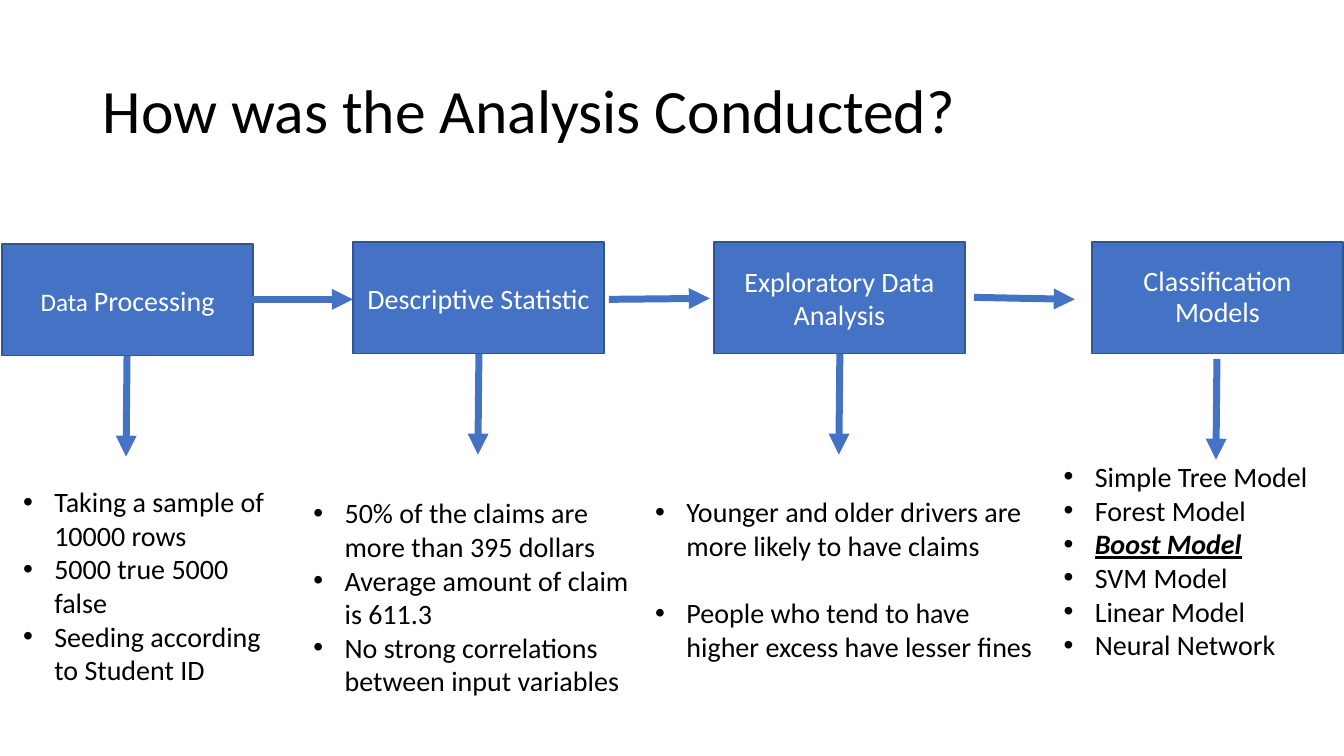
from lxml import etree
from pptx import Presentation
from pptx.dml.color import RGBColor
from pptx.enum.shapes import MSO_CONNECTOR, MSO_SHAPE
from pptx.enum.text import MSO_ANCHOR, PP_ALIGN
from pptx.oxml.ns import qn
from pptx.util import Inches, Pt

BLUE = RGBColor(0x44, 0x72, 0xC4)
DARK_BLUE = RGBColor(0x32, 0x54, 0x91)
BLACK = RGBColor(0, 0, 0)
WHITE = RGBColor(0xFF, 0xFF, 0xFF)


def add_run(paragraph, text, size, color):
    run = paragraph.add_run()
    run.text = text
    run.font.name = "Calibri"
    run.font.size = Pt(size)
    run.font.color.rgb = color
    return run


def add_arrow(slide, start, end):
    points = [Inches(value) for value in (*start, *end)]
    arrow = slide.shapes.add_connector(MSO_CONNECTOR.STRAIGHT, *points)
    arrow.line.color.rgb = BLUE
    arrow.line.width = Pt(5)
    etree.SubElement(arrow.line._get_or_add_ln(), qn("a:tailEnd"), type="triangle")
    etree.SubElement(arrow._element.spPr, qn("a:effectLst"))


presentation = Presentation()
presentation.slide_width = Inches(13.33)
presentation.slide_height = Inches(7.5)
slide = presentation.slides.add_slide(presentation.slide_layouts[6])

title = slide.shapes.add_textbox(Inches(0.92), Inches(0.4), Inches(11.5), Inches(1.45))
title.text_frame.word_wrap = True
title.text_frame.vertical_anchor = MSO_ANCHOR.MIDDLE
title_paragraph = title.text_frame.paragraphs[0]
title_paragraph.line_spacing = 0.9
add_run(title_paragraph, "How was the Analysis Conducted?", 44, BLACK)

steps = [
    (0.02, 2.42, [("Data ", 18), ("Processing", 20)]),
    (3.5, 2.4, [("Descriptive Statistic", 20)]),
    (7.08, 2.4, [("Exploratory Data Analysis", 20)]),
    (10.83, 2.4, [("Classification Models", 20)]),
]
for left, top, runs in steps:
    box = slide.shapes.add_shape(
        MSO_SHAPE.RECTANGLE, Inches(left), Inches(top), Inches(2.49), Inches(1.11)
    )
    box.shadow.inherit = False
    box.fill.solid()
    box.fill.fore_color.rgb = BLUE
    box.line.color.rgb = DARK_BLUE
    box.line.width = Pt(1)
    box.text_frame.word_wrap = True
    box.text_frame.vertical_anchor = MSO_ANCHOR.MIDDLE
    paragraph = box.text_frame.paragraphs[0]
    paragraph.alignment = PP_ALIGN.CENTER
    for text, size in runs:
        add_run(paragraph, text, size, WHITE)
paragraph.line_spacing = 0.9
paragraph.space_before = Pt(10)

for left, start_top, end_top in [(2.5, 2.97, 2.97), (6.04, 2.97, 2.96), (9.66, 2.95, 2.97)]:
    add_arrow(slide, (left, start_top), (left + 1, end_top))
for left, top in [(1.26, 3.53), (4.75, 3.51), (8.33, 3.51), (12.07, 3.56)]:
    add_arrow(slide, (left, top), (left - 0.01, top + 1))

details = [
    (0.13, 4.76, 2.65, 2.42, 0, [
        "Taking a sample of 10000 rows",
        "5000 true 5000 false",
        "Seeding according to Student ID",
    ]),
    (3.01, 4.87, 3.37, 2.12, 0, [
        "50% of the claims are more than 395 dollars",
        "Average amount of claim is 611.3",
        "No strong correlations between input variables",
    ]),
    (6.4, 4.86, 4.01, 2.09, 24, [
        "Younger and older drivers are more likely to have claims",
        "People who tend to have higher excess have lesser fines",
    ]),
    (10.45, 4.51, 2.65, 2.42, 0, [
        "Simple Tree Model",
        "Forest Model",
        "Boost Model",
        "SVM Model",
        "Linear Model",
        "Neural Network",
    ]),
]
for left, top, width, height, gap, items in details:
    detail = slide.shapes.add_textbox(Inches(left), Inches(top), Inches(width), Inches(height))
    frame = detail.text_frame
    frame.word_wrap = True
    for index, item in enumerate(items):
        paragraph = frame.add_paragraph() if index else frame.paragraphs[0]
        paragraph.space_before = Pt(gap if index else 0)
        properties = paragraph._p.get_or_add_pPr()
        properties.set("marL", str(Inches(0.31)))
        properties.set("indent", str(Inches(-0.31)))
        etree.SubElement(properties, qn("a:buFont"), typeface="Arial")
        etree.SubElement(properties, qn("a:buChar"), char="•")
        run = add_run(paragraph, item, 20, BLACK)
        if item == "Boost Model":
            run.font.bold = run.font.italic = run.font.underline = True

presentation.save("out.pptx")
